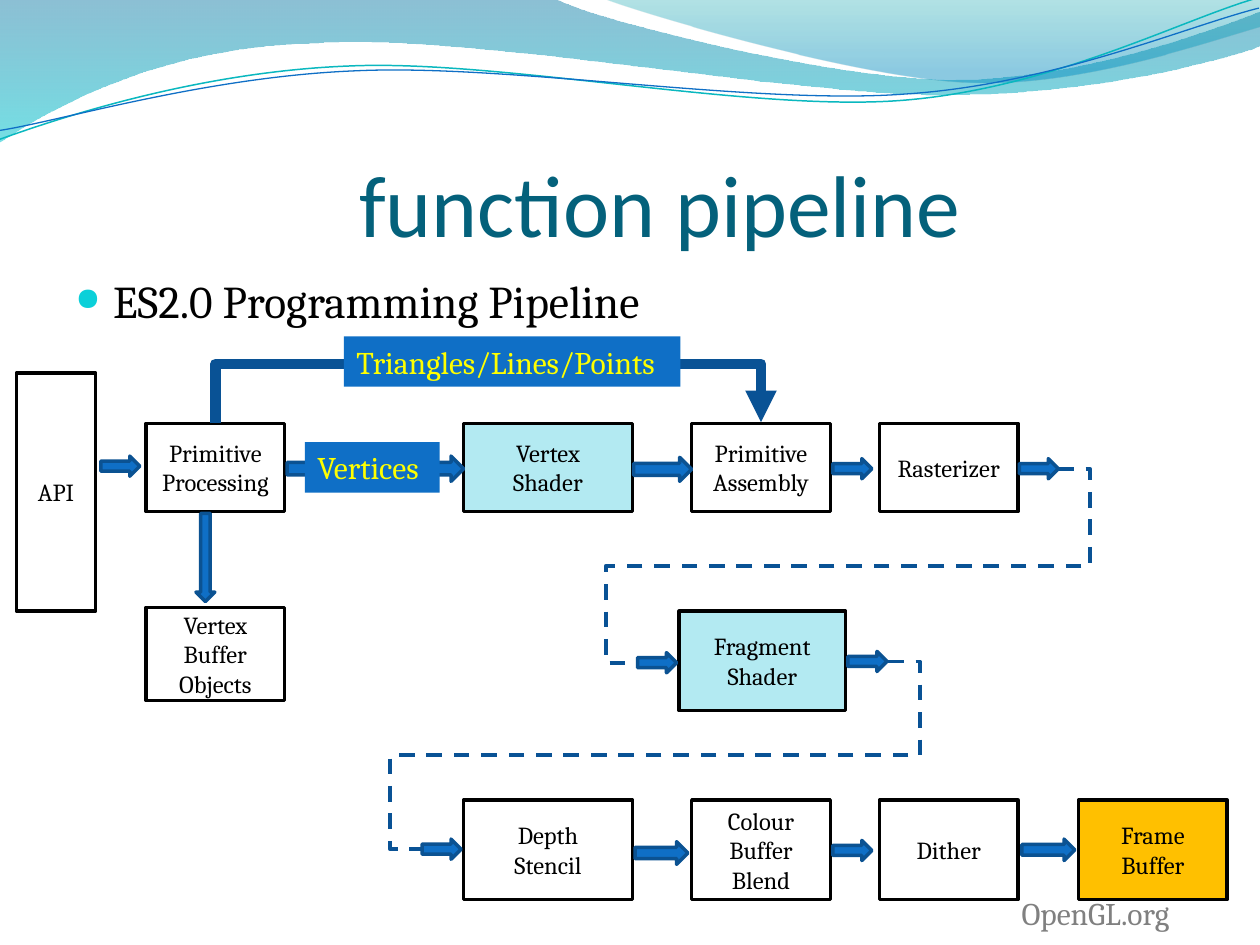
from dataclasses import dataclass

from lxml.etree import SubElement
from pptx import Presentation
from pptx.dml.color import RGBColor
from pptx.enum.dml import MSO_LINE
from pptx.enum.shapes import MSO_CONNECTOR, MSO_SHAPE
from pptx.enum.text import MSO_ANCHOR, MSO_AUTO_SIZE, PP_ALIGN
from pptx.oxml.ns import qn
from pptx.util import Inches, Pt


@dataclass(frozen=True)
class Theme:
    heading: str = "Calibri"
    body: str = "Cambria"
    title_size: int = 50
    bullet_size: int = 26
    label_size: int = 18
    stage_size: int = 14
    title: RGBColor = RGBColor(0x04, 0x61, 0x7B)
    black: RGBColor = RGBColor(0, 0, 0)
    white: RGBColor = RGBColor(255, 255, 255)
    gray: RGBColor = RGBColor(0x80, 0x80, 0x80)
    yellow: RGBColor = RGBColor(255, 255, 0)
    blue: RGBColor = RGBColor(0x0F, 0x6F, 0xC6)
    arrow_edge: RGBColor = RGBColor(0x0B, 0x52, 0x92)
    link: RGBColor = RGBColor(0x09, 0x52, 0x95)
    shader: RGBColor = RGBColor(0xB3, 0xEA, 0xF2)
    frame: RGBColor = RGBColor(0xFF, 0xC0, 0)
    teal: RGBColor = RGBColor(0x0A, 0xB8, 0xBF)
    bullet: str = "0BD0D9"


THEME = Theme()


def write(shape, lines, size, color, font=THEME.body, align=PP_ALIGN.LEFT, anchor=MSO_ANCHOR.TOP):
    """Put one paragraph per line into the shape and return its text frame."""
    frame = shape.text_frame
    frame.word_wrap = True
    frame.vertical_anchor = anchor
    for number, line in enumerate(lines):
        paragraph = frame.add_paragraph() if number else frame.paragraphs[0]
        paragraph.alignment = align
        run = paragraph.add_run()
        run.text = line
        run.font.name, run.font.size, run.font.color.rgb = font, Pt(size), color
    return frame


def draw_curve(shapes, start, segments, close):
    """Draw straight (2 numbers) and cubic (6 numbers) segments as one outline."""
    builder = shapes.build_freeform(*map(Inches, start))
    for segment in segments:
        points = zip(segment[::2], segment[1::2])
        builder.add_line_segments([(Inches(x), Inches(y)) for x, y in points], close=False)
    shape = builder.convert_to_shape()
    shape.shadow.inherit = False
    # Merge each run of three line ends into one cubic segment
    outline = next(shape.element.iter(qn("a:path")))
    ends = iter(outline.findall(qn("a:lnTo")))
    for segment in segments:
        first = next(ends)
        if len(segment) == 6:
            first.tag = qn("a:cubicBezTo")
            for _ in range(2):
                extra = next(ends)
                first.append(extra[0])
                outline.remove(extra)
    if close:
        SubElement(outline, qn("a:close"))
    return shape


prs = Presentation()
prs.slide_width, prs.slide_height = Inches(10), Inches(7.5)
shapes = prs.slides.add_slide(prs.slide_layouts[6]).shapes

# Translucent waves: start, segments, gradient stops (position, colour, opacity %)
waves = [
    ((-0.01, -0.01),
     [(4.4, -0.01), (4.76, 0.17, 6.64, 0.63, 7.58, 0.63), (8.53, 0.63, 9.58, 0.26, 10, 0.09),
      (10.01, 0.36), (9.83, 0.44, 8.7, 0.76, 7.46, 0.75), (6.22, 0.75, 3.82, 0.28, 2.57, 0.34),
      (1.29, 0.36, 0.46, 0.83, -0.01, 1.13)],
     [(0, "0074A1", 45), (1, "00C6CF", 55)]),
    ((4.79, -0.01),
     [(5.09, 0.11, 6.82, 0.62, 7.69, 0.65), (8.56, 0.69, 9.61, 0.32, 10, 0.21), (10, 0)],
     [(0, "00A1A9", 30), (0.8, "008BBF", 45)]),
]
for start, segments, stops in waves:
    wave = draw_curve(shapes, start, segments, True)
    wave.line.fill.background()
    wave.fill.gradient()
    wave.fill.gradient_angle = 270
    for stop, (position, color, _) in zip(wave.fill.gradient_stops, stops):
        stop.position = position
        stop.color.rgb = RGBColor.from_string(color)
    gradient = wave.element.spPr.find(qn("a:gradFill"))
    for node, (_, _, opacity) in zip(gradient.iter(qn("a:srgbClr")), stops):
        SubElement(node, qn("a:alpha"), val=str(opacity * 1000))

# Thin wave lines, tilted together
wave_lines = [
    ((-0.02, 0.87), [(0.47, 0.72, 1.58, 0.41, 2.77, 0.42), (3.96, 0.42, 5.91, 0.93, 7.12, 0.9),
                     (8.32, 0.87, 9.4, 0.36, 10, 0.22)], THEME.teal, 0.85),
    ((-0.02, 0.8), [(0.46, 0.75, 1.64, 0.45, 2.83, 0.46), (4.03, 0.46, 5.96, 0.88, 7.16, 0.85),
                    (8.35, 0.83, 9.42, 0.42, 10.01, 0.3)], THEME.blue, 0.75),
]
for start, segments, color, width in wave_lines:
    wave_line = draw_curve(shapes, start, segments, False)
    wave_line.rotation = 357.3
    wave_line.fill.background()
    wave_line.line.color.rgb, wave_line.line.width = color, Pt(width)

# Title, bullet and credit
title = shapes.add_textbox(Inches(0.5), Inches(0.77), Inches(9), Inches(1.25))
title_frame = write(title, ["function pipeline"], THEME.title_size, THEME.title,
                    THEME.heading, anchor=MSO_ANCHOR.BOTTOM)
title_frame.margin_left, title_frame.margin_right = Inches(2.35), 0
title_frame.margin_bottom = 0

body = shapes.add_textbox(Inches(0.5), Inches(2.12), Inches(9), Inches(4.8))
body_frame = write(body, ["ES2.0 Programming Pipeline"], THEME.bullet_size, THEME.black)
bullet = body_frame.paragraphs[0]._p.get_or_add_pPr()
bullet.set("marL", str(Inches(0.3)))
bullet.set("indent", str(-Inches(0.3)))
SubElement(SubElement(bullet, qn("a:buClr")), qn("a:srgbClr"), val=THEME.bullet)
SubElement(bullet, qn("a:buSzPct"), val="70000")
SubElement(bullet, qn("a:buChar"), char="●")

credit = shapes.add_textbox(Inches(8.01), Inches(7.05), Inches(1.56), Inches(0.4))
credit_frame = write(credit, ["OpenGL.org"], THEME.label_size, THEME.gray)
credit_frame.word_wrap = False
credit_frame.auto_size = MSO_AUTO_SIZE.SHAPE_TO_FIT_TEXT

# Pipeline stages
VERTEX_ROW, PIXEL_ROW = (3.36, 0.7), (6.35, 0.79)
PROCESSING, SHADER, ASSEMBLY, RASTER = (1.16, 1.1), (3.68, 1.34), (5.49, 1.1), (6.98, 1.1)
stages = [
    (["API"], (0.13, 0.63), (2.96, 1.89), THEME.white),
    (["Primitive", "Processing"], PROCESSING, VERTEX_ROW, THEME.white),
    (["Vertex", "Buffer", "Objects"], PROCESSING, (4.82, 0.74), THEME.white),
    (["Vertex", "Shader"], SHADER, VERTEX_ROW, THEME.shader),
    (["Primitive", "Assembly"], ASSEMBLY, VERTEX_ROW, THEME.white),
    (["Rasterizer"], RASTER, VERTEX_ROW, THEME.white),
    (["Fragment", "Shader"], (5.39, 1.32), (4.85, 0.79), THEME.shader),
    (["Depth", "Stencil"], SHADER, PIXEL_ROW, THEME.white),
    (["Colour", "Buffer", "Blend"], ASSEMBLY, PIXEL_ROW, THEME.white),
    (["Dither"], RASTER, PIXEL_ROW, THEME.white),
    (["Frame", "Buffer"], (8.56, 1.18), PIXEL_ROW, THEME.frame),
]
for lines, (left, width), (top, height), color in stages:
    stage = shapes.add_shape(MSO_SHAPE.RECTANGLE, Inches(left), Inches(top), Inches(width), Inches(height))
    stage.shadow.inherit = False
    stage.fill.solid()
    stage.fill.fore_color.rgb = color
    stage.line.color.rgb, stage.line.width = THEME.black, Pt(2)
    write(stage, lines, THEME.stage_size, THEME.black, align=PP_ALIGN.CENTER, anchor=MSO_ANCHOR.MIDDLE)

# Elbow links: begin, end, preset, adjustments, width, rotation
links = [
    ((8.4, 3.72), (5.06, 5.26), "bentConnector5", (-7500, 50000, 107500), 2.25, 0),
    ((7.05, 5.25), (3.35, 6.74), "bentConnector5", (-6800, 50000, 106800), 2.25, 0),
    ((3.88, 5.52), (3.87, 1.19), "bentConnector3", (4800000,), 6, 90),
]
for begin, end, preset, adjustments, width, rotation in links:
    link = shapes.add_connector(MSO_CONNECTOR.ELBOW, *map(Inches, begin + end))
    link.line.color.rgb, link.line.width = THEME.link, Pt(width)
    properties = link.element.spPr
    geometry = properties.find(qn("a:prstGeom"))
    geometry.set("prst", preset)
    for number, value in enumerate(adjustments, 1):
        SubElement(geometry.find(qn("a:avLst")), qn("a:gd"), name=f"adj{number}", fmla=f"val {value}")
    if rotation:
        properties.find(qn("a:xfrm")).set("rot", str(rotation * 60000))
        SubElement(properties.find(qn("a:ln")), qn("a:tailEnd"), type="triangle")
    else:
        link.line.dash_style = MSO_LINE.DASH
    SubElement(properties, qn("a:effectLst"))

# Block arrows: left, top, width, height, rotation
SHORT = (0.31, 0.16, 0)
arrows = [
    (0.8, 3.62, *SHORT), (6.61, 3.64, *SHORT), (8.09, 3.64, *SHORT), (5.06, 5.18, *SHORT),
    (6.73, 5.17, *SHORT), (3.35, 6.66, *SHORT), (6.61, 6.67, *SHORT),
    (2.28, 3.62, 1.4, 0.2, 0), (5.03, 3.63, 0.46, 0.19, 0),
    (5.04, 6.68, 0.42, 0.18, 0), (8.11, 6.66, 0.42, 0.17, 0), (1.28, 4.35, 0.7, 0.15, 90),
]
for *place, rotation in arrows:
    arrow = shapes.add_shape(MSO_SHAPE.RIGHT_ARROW, *map(Inches, place))
    arrow.shadow.inherit = False
    arrow.rotation = rotation
    arrow.fill.solid()
    arrow.fill.fore_color.rgb = THEME.blue
    arrow.line.color.rgb, arrow.line.width = THEME.arrow_edge, Pt(2)

# Data labels on the links
for label, left, top, width in [("Triangles/Lines/Points", 2.73, 2.67, 2.67), ("Vertices", 2.42, 3.51, 1.07)]:
    tag = shapes.add_shape(MSO_SHAPE.RECTANGLE, Inches(left), Inches(top), Inches(width), Inches(0.4))
    tag.shadow.inherit = False
    tag.fill.solid()
    tag.fill.fore_color.rgb = THEME.blue
    tag.line.fill.background()
    tag_frame = write(tag, [label], THEME.label_size, THEME.yellow)
    tag_frame.word_wrap = False
    tag_frame.auto_size = MSO_AUTO_SIZE.SHAPE_TO_FIT_TEXT

prs.save("out.pptx")
